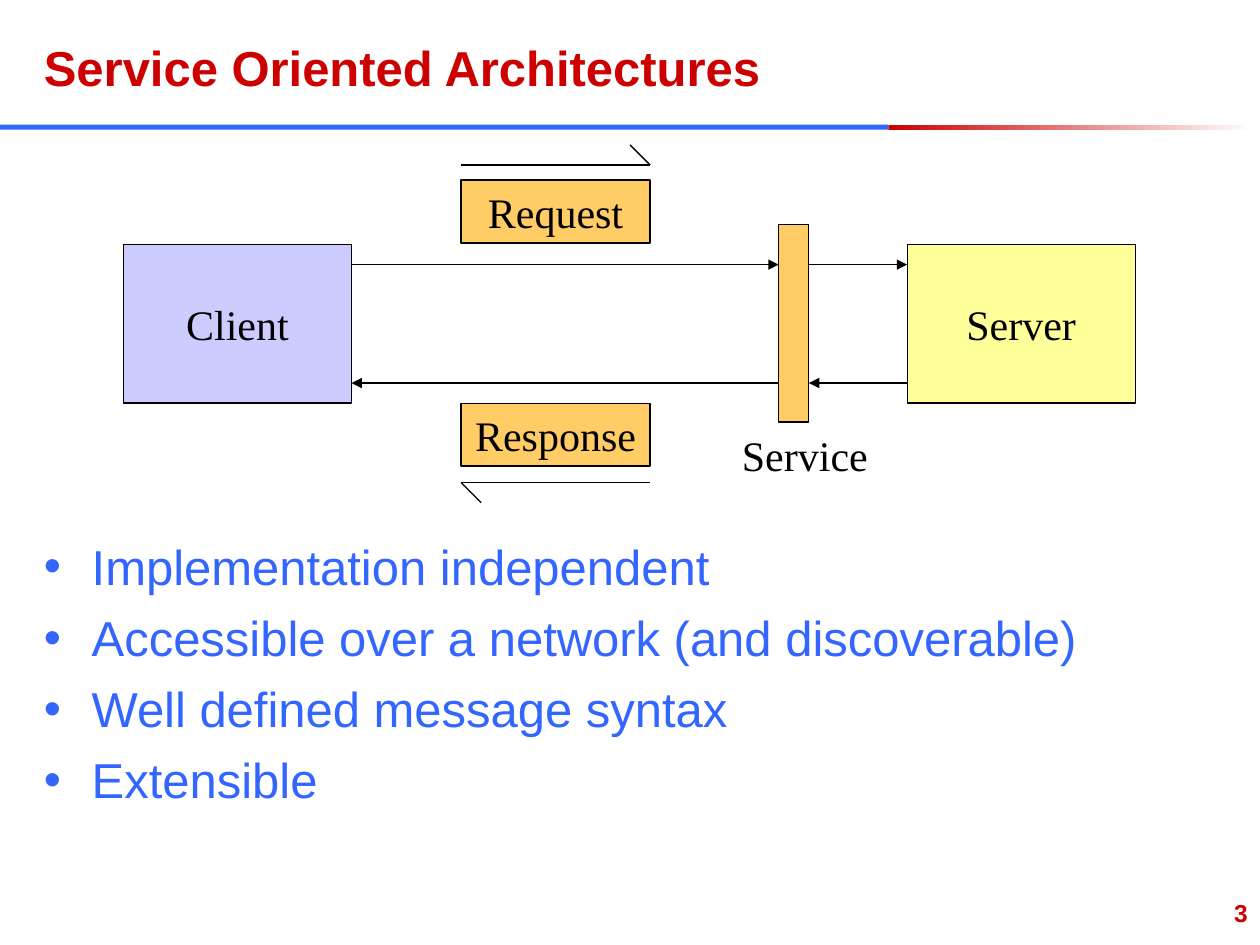
from dataclasses import dataclass

from lxml.etree import SubElement
from pptx import Presentation
from pptx.dml.color import RGBColor
from pptx.enum.shapes import MSO_CONNECTOR, MSO_SHAPE
from pptx.enum.text import MSO_ANCHOR, PP_ALIGN
from pptx.oxml.ns import qn
from pptx.util import Inches, Pt


@dataclass(frozen=True)
class Theme:
    red: str = "CC0000"
    blue: str = "3366FF"
    black: str = "000000"
    white: str = "FFFFFF"
    lavender: str = "CCCCFF"
    yellow: str = "FFFF99"
    orange: str = "FFCC66"
    sans: str = "Arial"
    serif: str = "Times New Roman"
    heading_size: int = 28
    label_size: int = 24
    number_size: int = 14
    line_width: float = 0.75


class SlideBuilder:
    def __init__(self, slide, theme):
        self.shapes = slide.shapes
        self.theme = theme

    def style(self, paragraph, size, face, color, bold=False):
        font = paragraph.font
        font.size, font.name, font.bold = Pt(size), face, bold
        font.color.rgb = RGBColor.from_string(color)

    def text(self, box, lines, size, face, color, bold=False,
             align=PP_ALIGN.LEFT, wrap=True):
        left, top, width, height = map(Inches, box)
        frame = self.shapes.add_textbox(left, top, width, height).text_frame
        frame.word_wrap = wrap
        frame.text = "\n".join(lines)
        for paragraph in frame.paragraphs:
            paragraph.alignment = align
            self.style(paragraph, size, face, color, bold)
        return frame

    def bullets(self, box, lines):
        theme = self.theme
        frame = self.text(box, lines, theme.heading_size, theme.sans, theme.blue)
        for paragraph in frame.paragraphs:
            paragraph.space_before = Pt(7)
            properties = paragraph._p.get_or_add_pPr()
            properties.set("marL", str(Inches(0.38)))
            properties.set("indent", str(Inches(-0.38)))
            SubElement(properties, qn("a:buFont"), typeface=theme.sans)
            SubElement(properties, qn("a:buChar"), char="•")

    def bar(self, box, color, fade_to=None):
        left, top, width, height = map(Inches, box)
        bar = self.shapes.add_shape(MSO_SHAPE.RECTANGLE, left, top, width, height)
        bar.shadow.inherit = False
        bar.line.fill.background()
        if fade_to:
            bar.fill.gradient()
            bar.fill.gradient_angle = 0
            for stop, stop_color in zip(bar.fill.gradient_stops, (color, fade_to)):
                stop.color.rgb = RGBColor.from_string(stop_color)
        else:
            bar.fill.solid()
            bar.fill.fore_color.rgb = RGBColor.from_string(color)
        return bar

    def node(self, box, color, label=""):
        theme = self.theme
        node = self.bar(box, color)
        node.line.color.rgb = RGBColor.from_string(theme.black)
        node.line.width = Pt(theme.line_width)
        if label:
            frame = node.text_frame
            frame.word_wrap = False
            frame.vertical_anchor = MSO_ANCHOR.MIDDLE
            frame.text = label
            paragraph = frame.paragraphs[0]
            paragraph.alignment = PP_ALIGN.CENTER
            self.style(paragraph, theme.label_size, theme.serif, theme.black)

    def line(self, start, end, arrow=False):
        line = self.shapes.add_connector(
            MSO_CONNECTOR.STRAIGHT, *map(Inches, (*start, *end)))
        line.line.color.rgb = RGBColor.from_string(self.theme.black)
        line.line.width = Pt(self.theme.line_width)
        if arrow:
            SubElement(line.line._get_or_add_ln(), qn("a:tailEnd"), type="triangle")
        SubElement(line._element.spPr, qn("a:effectLst"))


def main():
    theme = Theme()
    presentation = Presentation()
    presentation.slide_width, presentation.slide_height = Inches(10), Inches(7.5)
    slide = presentation.slides.add_slide(presentation.slide_layouts[6])
    build = SlideBuilder(slide, theme)

    # Title and divider
    build.bar((7.05, 0.99, 2.88, 0.04), theme.red, fade_to=theme.white)
    build.bar((0, 0.99, 7.05, 0.04), theme.blue)
    build.text((0.25, 0.25, 6.83, 0.58), ["Service Oriented Architectures"],
               theme.heading_size, theme.sans, theme.red, bold=True)

    # Service properties
    build.bullets((0.25, 4.21, 9.5, 2.79), [
        "Implementation independent",
        "Accessible over a network (and discoverable)",
        "Well defined message syntax",
        "Extensible",
    ])

    # Client, server and the service between them
    client_left, server_left, node_width = 0.98, 7.2, 1.81
    client_right = client_left + node_width
    service_left, service_width = 6.18, 0.24
    service_right = service_left + service_width
    build.node((client_left, 1.94, node_width, 1.26), theme.lavender, "Client")
    build.node((server_left, 1.94, node_width, 1.26), theme.yellow, "Server")
    build.node((service_left, 1.78, service_width, 1.57), theme.orange)
    build.text((5.79, 3.36, 1.2, 0.5), ["Service"], theme.label_size,
               theme.serif, theme.black, wrap=False)

    # Calls run right along the top, replies run left along the bottom
    call_y, reply_y = 2.1, 3.04
    for left, right in ((client_right, service_left), (service_right, server_left)):
        build.line((left, call_y), (right, call_y), arrow=True)
        build.line((right, reply_y), (left, reply_y), arrow=True)

    # Messages with half-arrows showing their direction
    message_left, message_right, barb = 3.66, 5.16, 0.16
    message_width = message_right - message_left
    for label, top, arrow_y, tip, side in (
            ("Request", 1.43, 1.31, message_right, -1),
            ("Response", 3.2, 3.83, message_left, 1)):
        build.node((message_left, top, message_width, 0.5), theme.orange, label)
        build.line((message_left, arrow_y), (message_right, arrow_y))
        build.line((tip, arrow_y), (tip + side * barb, arrow_y + side * barb))

    # Slide number
    build.text((7.92, 7.08, 2.08, 0.42), ["3"], theme.number_size, theme.sans,
               theme.red, bold=True, align=PP_ALIGN.RIGHT)

    presentation.save("out.pptx")


if __name__ == "__main__":
    main()
